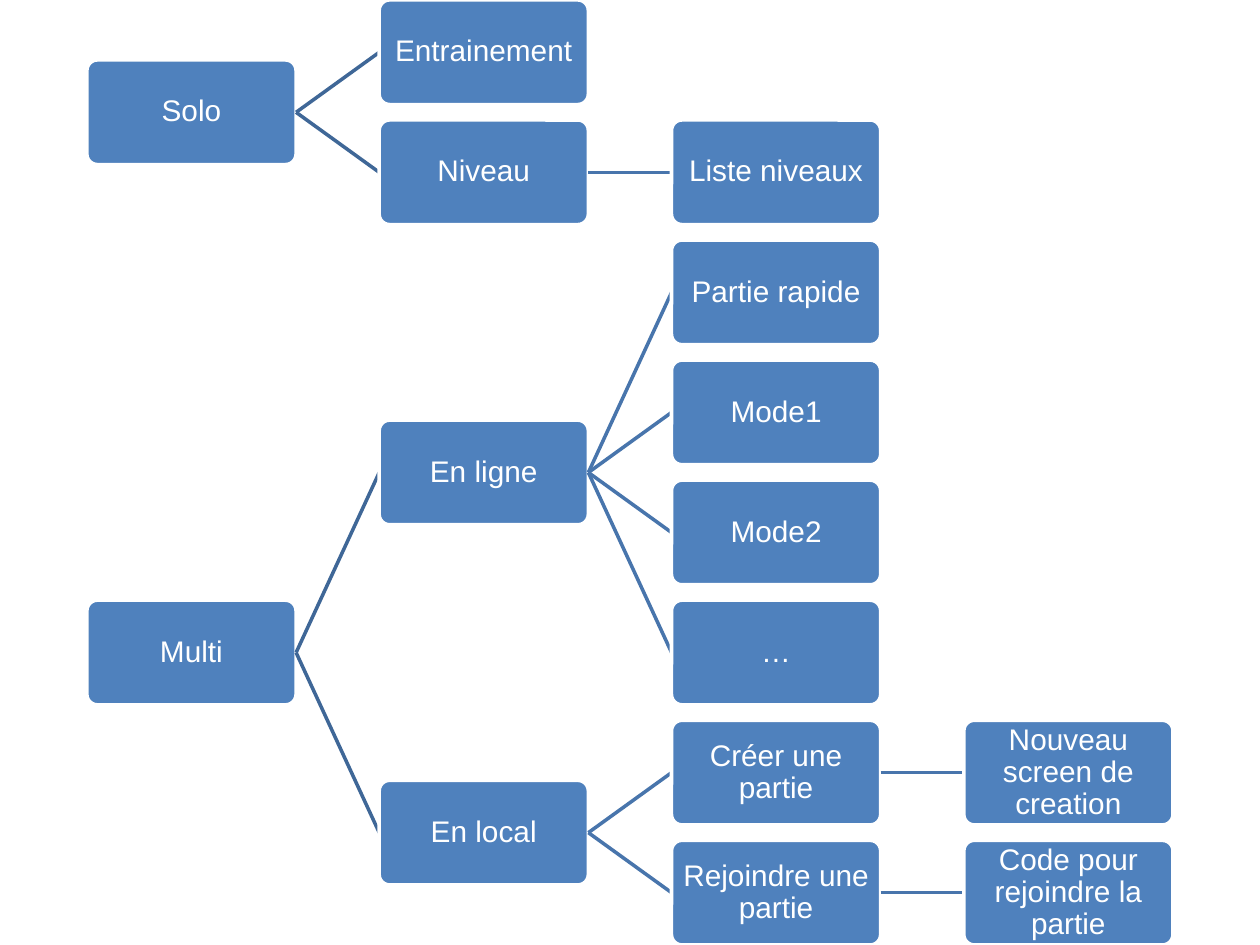
from itertools import count

from lxml import etree
from pptx import Presentation
from pptx import util as u
from pptx.dml import color
from pptx.enum import shapes, text
from pptx.oxml import ns

WIDE, HIGH = 10, 7.5
BOX_W, BOX_H = 1.66, 0.83
LEFT, COL = 0.69, 2.32
ROW = (HIGH - BOX_H) / 7

TREE = [
    ("Solo", [
        ("Entrainement", []),
        ("Niveau", [("Liste niveaux", [])]),
    ]),
    ("Multi", [
        ("En ligne", [
            ("Partie rapide", []),
            ("Mode1", []),
            ("Mode2", []),
            ("…", []),
        ]),
        ("En local", [
            ("Créer une partie", [("Nouveau screen de creation", [])]),
            ("Rejoindre une partie", [("Code pour rejoindre la partie", [])]),
        ]),
    ]),
]


def paint(form, tone):
    form.rgb = color.RGBColor.from_string(tone)


def place(node, rows):
    name, kids = node
    kids = [place(kid, rows) for kid in kids]
    row = sum(kid[1] for kid in kids) / len(kids) if kids else next(rows)
    return name, row, kids


def add_box(slide, name, col, row):
    box = slide.shapes.add_shape(
        shapes.MSO_SHAPE.ROUNDED_RECTANGLE,
        u.Inches(LEFT + col * COL), u.Inches(row * ROW),
        u.Inches(BOX_W), u.Inches(BOX_H))
    box.adjustments[0] = 0.1
    box.shadow.inherit = False
    box.fill.solid()
    paint(box.fill.fore_color, "4F81BD")
    paint(box.line.color, "FFFFFF")
    box.line.width = u.Pt(2)
    frame = box.text_frame
    frame.word_wrap = True
    frame.vertical_anchor = text.MSO_ANCHOR.MIDDLE
    frame.margin_left = frame.margin_right = u.Inches(0.01)
    frame.margin_top = frame.margin_bottom = u.Inches(0.01)
    para = frame.paragraphs[0]
    para.alignment = text.PP_ALIGN.CENTER
    para.line_spacing = 0.9
    para.space_after = u.Pt(6)
    run = para.add_run()
    run.text = name
    run.font.name = "Arial"
    run.font.size = u.Pt(17)
    paint(run.font.color, "FFFFFF")
    return box


def add_link(slide, start, tone):
    link = slide.shapes.add_connector(shapes.MSO_CONNECTOR.STRAIGHT, 0, 0, 0, 0)
    paint(link.line.color, tone)
    link.line.width = u.Pt(2)
    etree.SubElement(link._element.spPr, ns.qn("a:effectLst"))
    link.begin_connect(start, 3)
    return link


def draw(slide, node, col=0):
    name, row, kids = node
    box = add_box(slide, name, col, row)
    for kid in kids:
        link = add_link(slide, box, "4875AC" if col else "3F6797")
        link.end_connect(draw(slide, kid, col + 1), 1)
    return box


def main():
    deck = Presentation()
    deck.slide_width, deck.slide_height = u.Inches(WIDE), u.Inches(HIGH)
    slide = deck.slides.add_slide(deck.slide_layouts[6])
    rows = count()
    for root in TREE:
        draw(slide, place(root, rows))
    deck.save("out.pptx")


if __name__ == "__main__":
    main()
